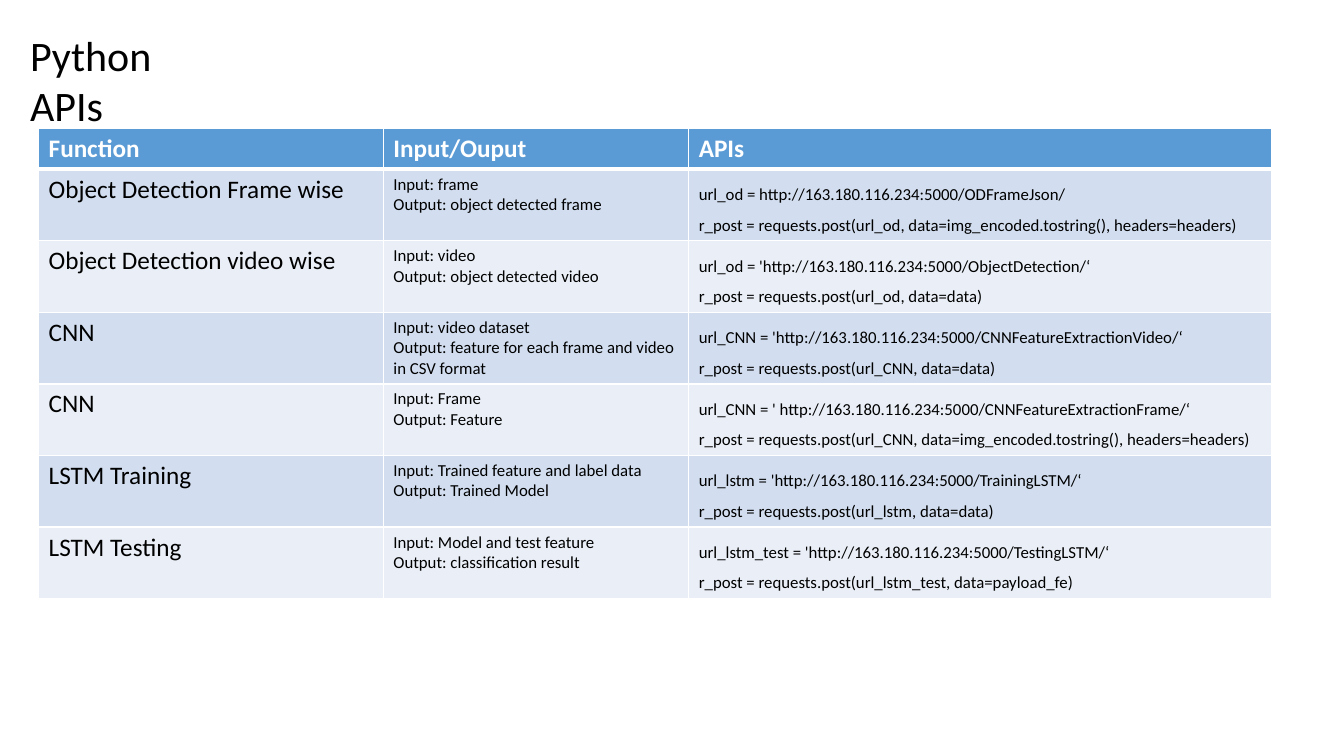
import dataclasses
import typing

import lxml.etree
import pptx
import pptx.dml.color
import pptx.enum.text
import pptx.oxml.ns
import pptx.util


@dataclasses.dataclass(frozen=True)
class Theme:
    font: str = "Calibri"
    ink: str = "000000"
    white: str = "FFFFFF"
    head: str = "5B9BD5"
    bands: tuple[str, str] = ("D2DEEF", "EAEFF7")
    title: int = 30
    large: int = 18
    small: int = 12
    thin: int = 1
    thick: int = 3


class Entry(typing.NamedTuple):
    task: str
    data: tuple[str, str]
    code: tuple[str, str]


class Box(typing.NamedTuple):
    left: float
    top: float
    width: float
    height: float


THEME = Theme()
GRID_COLS, GRID_ROWS = 160, 90
WIDTH, HEIGHT = pptx.util.Inches(13.33), pptx.util.Inches(7.5)
TITLE = Box(2.4, 2.9, 25.6, 7.3)
TABLE_LEFT, TABLE_TOP = 4.6, 15.25
SPANS = (41.04, 36.36, 69.4)
HEAD_ROW, BODY_ROW = 4.9, 8.4
HEADS = ("Function", "Input/Ouput", "APIs")
ENTRIES = (
    Entry("Object Detection Frame wise",
          ("Input: frame", "Output: object detected frame"),
          ("url_od = http://163.180.116.234:5000/ODFrameJson/",
           "r_post = requests.post(url_od, data=img_encoded.tostring(), headers=headers)")),
    Entry("Object Detection video wise",
          ("Input: video", "Output: object detected video"),
          ("url_od = 'http://163.180.116.234:5000/ObjectDetection/‘",
           "r_post = requests.post(url_od, data=data)")),
    Entry("CNN",
          ("Input: video dataset", "Output: feature for each frame and video in CSV format"),
          ("url_CNN = 'http://163.180.116.234:5000/CNNFeatureExtractionVideo/‘",
           "r_post = requests.post(url_CNN, data=data)")),
    Entry("CNN",
          ("Input: Frame", "Output: Feature"),
          ("url_CNN = ' http://163.180.116.234:5000/CNNFeatureExtractionFrame/‘",
           "r_post = requests.post(url_CNN, data=img_encoded.tostring(), headers=headers)")),
    Entry("LSTM Training",
          ("Input: Trained feature and label data", "Output: Trained Model"),
          ("url_lstm = 'http://163.180.116.234:5000/TrainingLSTM/‘",
           "r_post = requests.post(url_lstm, data=data)")),
    Entry("LSTM Testing",
          ("Input: Model and test feature", "Output: classification result"),
          ("url_lstm_test = 'http://163.180.116.234:5000/TestingLSTM/‘",
           "r_post = requests.post(url_lstm_test, data=payload_fe)")),
)


def across(cols: float) -> int:
    return round(WIDTH * cols / GRID_COLS)


def down(rows: float) -> int:
    return round(HEIGHT * rows / GRID_ROWS)


def paint(hue: str) -> pptx.dml.color.RGBColor:
    return pptx.dml.color.RGBColor.from_string(hue)


def write(frame, *lines: str, size: int, hue: str = THEME.ink,
          bold: bool = False, lead: float = 1.0) -> None:
    frame.word_wrap = True
    for spot, line in enumerate(lines):
        para = frame.paragraphs[0] if spot == 0 else frame.add_paragraph()
        para.line_spacing = lead
        run = para.add_run()
        run.text = line
        run.font.name = THEME.font
        run.font.size = pptx.util.Pt(size)
        run.font.bold = bold
        run.font.color.rgb = paint(hue)


def dress(cell, fill: str, top: int, base: int) -> None:
    props = cell._tc.get_or_add_tcPr()
    name = pptx.oxml.ns.qn
    sides = {"L": THEME.thin, "R": THEME.thin, "T": top, "B": base}
    for side, width in sides.items():
        edge = lxml.etree.SubElement(props, name(f"a:ln{side}"), w=str(pptx.util.Pt(width)))
        solid = lxml.etree.SubElement(edge, name("a:solidFill"))
        lxml.etree.SubElement(solid, name("a:srgbClr"), val=THEME.white)
    cell.fill.solid()
    cell.fill.fore_color.rgb = paint(fill)


def draw_title(slide) -> None:
    box = slide.shapes.add_textbox(across(TITLE.left), down(TITLE.top),
                                   across(TITLE.width), down(TITLE.height))
    box.text_frame.auto_size = pptx.enum.text.MSO_AUTO_SIZE.NONE
    write(box.text_frame, "Python APIs", size=THEME.title)


def draw_table(slide) -> None:
    tall = HEAD_ROW + BODY_ROW * len(ENTRIES)
    table = slide.shapes.add_table(
        len(ENTRIES) + 1, len(SPANS), across(TABLE_LEFT), down(TABLE_TOP),
        across(sum(SPANS)), down(tall)).table
    for column, span in zip(table.columns, SPANS):
        column.width = across(span)
    for spot, row in enumerate(table.rows):
        row.height = down(BODY_ROW if spot else HEAD_ROW)
    for col, head in enumerate(HEADS):
        cell = table.cell(0, col)
        dress(cell, THEME.head, THEME.thin, THEME.thick)
        write(cell.text_frame, head, size=THEME.large, hue=THEME.white, bold=True)
    for spot, entry in enumerate(ENTRIES):
        cells = [table.cell(spot + 1, col) for col in range(len(SPANS))]
        for cell in cells:
            dress(cell, THEME.bands[spot % 2], THEME.thin if spot else THEME.thick, THEME.thin)
        task, data, code = cells
        write(task.text_frame, entry.task, size=THEME.large)
        write(data.text_frame, *entry.data, size=THEME.small)
        write(code.text_frame, *entry.code, size=THEME.small, lead=1.5)


def main() -> None:
    deck = pptx.Presentation()
    deck.slide_width, deck.slide_height = WIDTH, HEIGHT
    slide = deck.slides.add_slide(deck.slide_layouts[6])
    draw_title(slide)
    draw_table(slide)
    deck.save("out.pptx")


if __name__ == "__main__":
    main()
